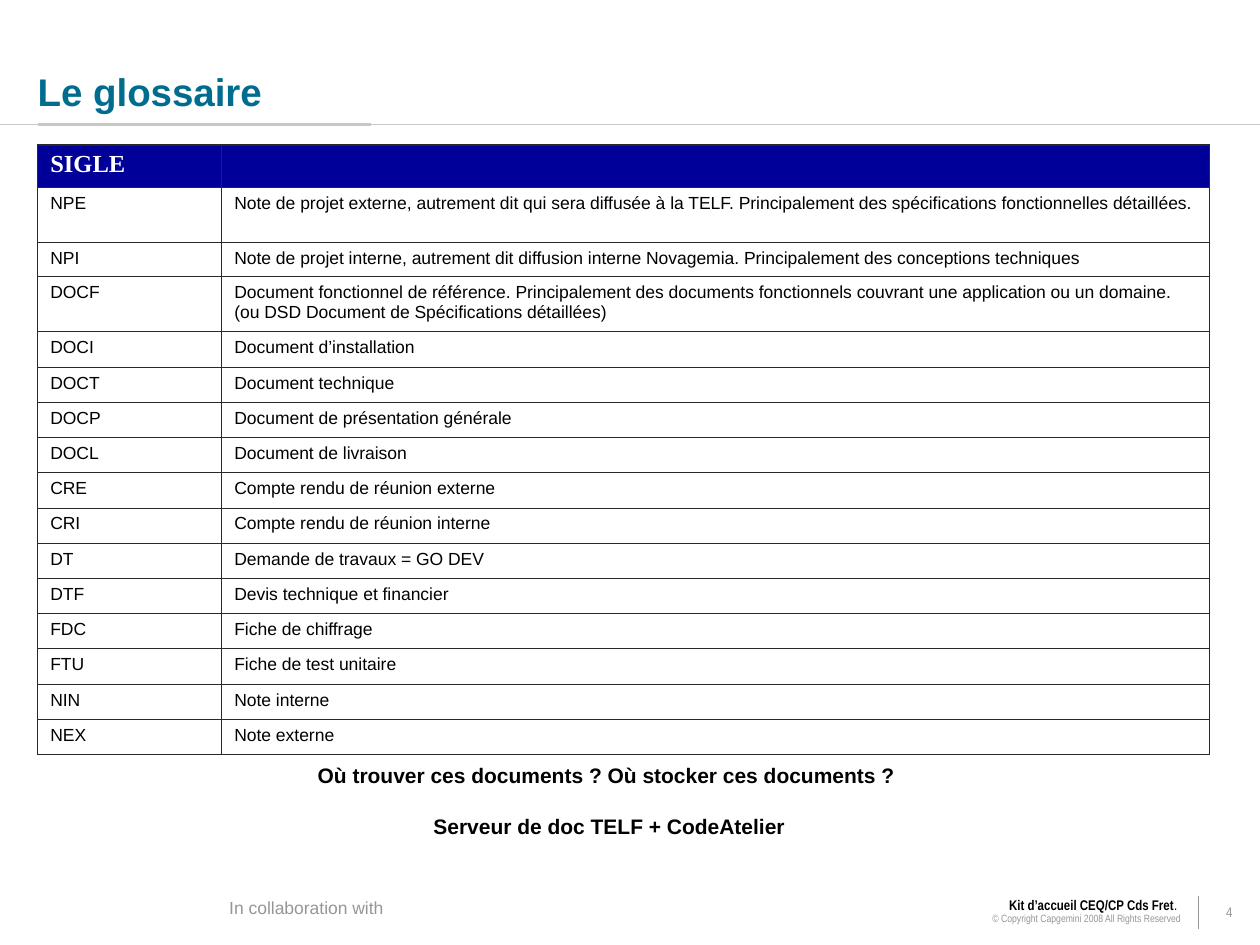
from lxml.etree import SubElement
from pptx import Presentation
from pptx.dml.color import RGBColor
from pptx.enum.shapes import MSO_CONNECTOR
from pptx.enum.text import MSO_ANCHOR, MSO_AUTO_SIZE, PP_ALIGN
from pptx.oxml.ns import qn
from pptx.util import Cm, Pt

# Content
TITLE = "Le glossaire"
HEAD = ("SIGLE", "")
TERMS = [
    ("NPE", "Note de projet externe, autrement dit qui sera diffusée à la TELF. "
            "Principalement des spécifications fonctionnelles détaillées."),
    ("NPI", "Note de projet interne, autrement dit diffusion interne Novagemia. "
            "Principalement des conceptions techniques"),
    ("DOCF", "Document fonctionnel de référence. Principalement des documents "
             "fonctionnels couvrant une application ou un domaine. "
             "(ou DSD Document de Spécifications détaillées)"),
    ("DOCI", "Document d’installation"),
    ("DOCT", "Document technique"),
    ("DOCP", "Document de présentation générale"),
    ("DOCL", "Document de livraison"),
    ("CRE", "Compte rendu de réunion externe"),
    ("CRI", "Compte rendu de réunion interne"),
    ("DT", "Demande de travaux = GO DEV"),
    ("DTF", "Devis technique et financier"),
    ("FDC", "Fiche de chiffrage"),
    ("FTU", "Fiche de test unitaire"),
    ("NIN", "Note interne"),
    ("NEX", "Note externe"),
]
NOTES = ["Où trouver ces documents ? Où stocker ces documents ? ",
         "Serveur de doc TELF + CodeAtelier"]
PARTNER = "In collaboration with"
KIT = "Kit d’accueil CEQ/CP Cds Fret"
RIGHTS = "© Copyright Capgemini 2008 All Rights Reserved"
PAGE = "4"

COLORS = {"title": "006C8E", "head": "000099", "white": "FFFFFF", "black": "000000",
          "edge": "292929", "rule": "C8C8C8", "grey": "969696"}
COLS = (3.71, 19.91)
TALL = {0: 0.86, 1: 1.11, 2: 0.69, 3: 1.11}
ROW = 0.71
THIN, THICK = 0.45, 0.96


def color(name):
    return RGBColor.from_string(COLORS[name])


def style(font, size, tone, bold=False, face="Arial"):
    font.size, font.bold, font.name = Pt(size), bold, face
    font.color.rgb = color(tone)


def rule(slide, x1, y1, x2, y2, tone, width):
    line = slide.shapes.add_connector(MSO_CONNECTOR.STRAIGHT, Cm(x1), Cm(y1), Cm(x2), Cm(y2))
    line.line.color.rgb = color(tone)
    line.line.width = Pt(width)
    SubElement(line._element.spPr, qn("a:effectLst"))


def box(slide, left, top, width, height, texts, align, space=None, wrap=True):
    frame = slide.shapes.add_textbox(Cm(left), Cm(top), Cm(width), Cm(height)).text_frame
    frame.word_wrap = wrap
    frame.text = "\n".join(texts)
    for par in frame.paragraphs:
        par.alignment = align
        par.line_spacing = space
    return frame


def border(cell, sides):
    props = cell._tc.get_or_add_tcPr()
    for spot, (side, width) in enumerate(sides):
        line = SubElement(props, qn(f"a:ln{side}"), w=str(Pt(width)))
        fill = SubElement(line, qn("a:solidFill"))
        SubElement(fill, qn("a:srgbClr"), val=COLORS["edge"])
        props.insert(spot, line)


def glossary(slide):
    rows = [HEAD] + TERMS
    highs = [TALL.get(i, ROW) for i in range(len(rows))]
    table = slide.shapes.add_table(len(rows), len(COLS), Cm(0.76), Cm(2.92),
                                   Cm(sum(COLS)), Cm(sum(highs))).table
    for col, width in zip(table.columns, COLS):
        col.width = Cm(width)
    for r, (row, high) in enumerate(zip(rows, highs)):
        table.rows[r].height = Cm(high)
        for c, text in enumerate(row):
            cell = table.cell(r, c)
            cell.text = text
            par = cell.text_frame.paragraphs[0]
            if r == 0:
                cell.fill.solid()
                cell.fill.fore_color.rgb = color("head")
                style(par.font, 14, "white", True, "Times New Roman")
            else:
                cell.fill.background()
                style(par.font, 10, "black")
            if not text:
                SubElement(par._p, qn("a:endParaRPr"), sz="1400")
            border(cell, [("L", THIN if c else THICK), ("R", THICK if c else THIN),
                          ("T", THIN if r else THICK), ("B", THIN)])


def main():
    deck = Presentation()
    deck.slide_width, deck.slide_height = Cm(25.4), Cm(19.05)
    slide = deck.slides.add_slide(deck.slide_layouts[5])

    # Title and its rules
    rule(slide, 0, 2.51, 25.4, 2.51, "rule", 0.75)
    rule(slide, 0.76, 2.51, 7.47, 2.51, "rule", 2.25)
    title = slide.shapes.title
    title.left, title.top, title.width, title.height = Cm(0.76), Cm(0), Cm(24.1), Cm(2.31)
    frame = title.text_frame
    frame.text = TITLE
    frame.auto_size = MSO_AUTO_SIZE.NONE
    frame.vertical_anchor = MSO_ANCHOR.BOTTOM
    frame.margin_left = frame.margin_right = frame.margin_top = frame.margin_bottom = 0
    frame.paragraphs[0].alignment = PP_ALIGN.LEFT
    style(frame.paragraphs[0].font, 22, "title", True)

    glossary(slide)

    # Closing questions
    frame = box(slide, 2.44, 15.24, 19.69, 1.8, NOTES, PP_ALIGN.CENTER)
    for i, par in enumerate(frame.paragraphs):
        par.space_before = Pt(7.5 if i else 0)
        par.space_after = Pt(7.5)
        style(par.font, 12, "black", True)

    # Footer
    frame = box(slide, 4.37, 18.03, 3.61, 0.61, [PARTNER], PP_ALIGN.CENTER, 0.85, False)
    style(frame.paragraphs[0].font, 10, "grey")
    frame = box(slide, 11.4, 18.01, 12.65, 0.76, ["", RIGHTS], PP_ALIGN.RIGHT, 0.85)
    kit, rights = frame.paragraphs
    for text, bold in ((KIT, True), (". ", False)):
        run = kit.add_run()
        run.text = text
        style(run.font, 8, "black", bold, "Arial Narrow")
    style(rights.font, 6, "grey", face="Arial Narrow")
    rule(slide, 24.16, 18.06, 24.16, 18.72, "grey", 0.75)
    frame = box(slide, 24.16, 18.06, 1.24, 0.69, [PAGE], PP_ALIGN.CENTER, 0.85)
    frame.vertical_anchor = MSO_ANCHOR.MIDDLE
    style(frame.paragraphs[0].font, 8, "grey", face="Arial Narrow")

    deck.save("out.pptx")


if __name__ == "__main__":
    main()
